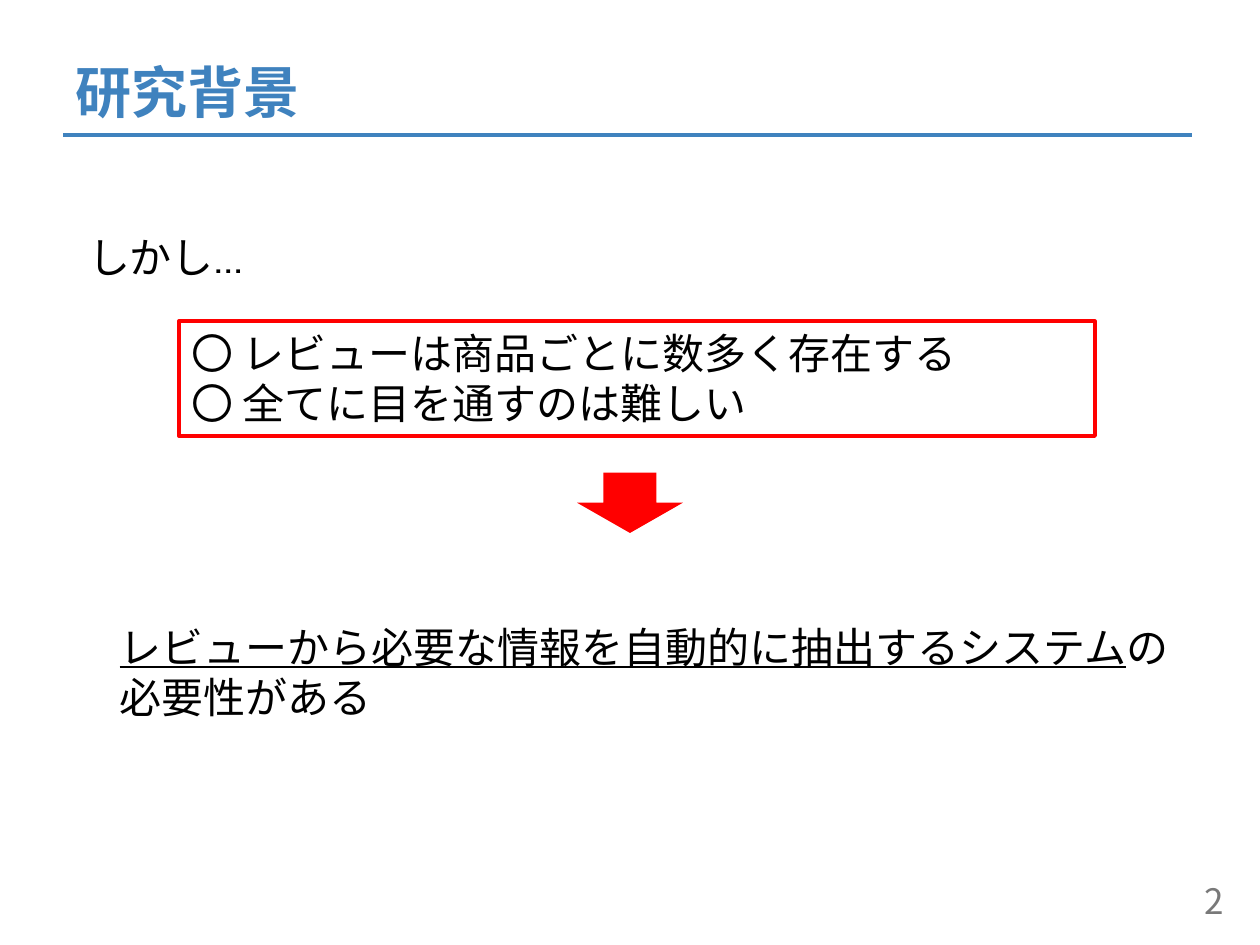
from lxml import etree
from pptx import Presentation
from pptx.dml.color import RGBColor
from pptx.enum.shapes import MSO_CONNECTOR, MSO_SHAPE
from pptx.enum.text import MSO_ANCHOR, PP_ALIGN
from pptx.oxml.ns import qn
from pptx.util import Inches, Pt

TOP, MIDDLE = MSO_ANCHOR.TOP, MSO_ANCHOR.MIDDLE
LEFT, RIGHT = PP_ALIGN.LEFT, PP_ALIGN.RIGHT
BLUE, RED, GRAY, BLACK, WHITE = "3F82BE", "FF0000", "797979", "000000", "FFFFFF"
HEADING_FONT, BODY_FONT = "Noto Sans CJK JP", "Cabin"
SLIDE_WIDTH, SLIDE_HEIGHT = 10, 7.5
RULE_WIDTH = 2.25

# Each paragraph is a list of (text, underlined) runs.
TITLE = [[("研究背景", False)]]
LEAD_IN = [[("しかし…", False)]]
PROBLEMS = [
    [("〇 レビューは商品ごとに数多く存在する", False)],
    [("〇 全てに目を通すのは難しい", False)],
]
CONCLUSION = [[
    ("レビューから必要な情報を自動的に抽出するシステム", True),
    ("の必要性がある", False),
]]
PAGE_NUMBER = [[("2", False)]]


def rgb(color):
    return RGBColor.from_string(color)


def write(shape, paragraphs, size=24, font=BODY_FONT, color=BLACK, bold=False,
          align=LEFT, anchor=TOP, line_spacing=None):
    frame = shape.text_frame
    frame.word_wrap = True
    frame.vertical_anchor = anchor
    for index, runs in enumerate(paragraphs):
        paragraph = frame.add_paragraph() if index else frame.paragraphs[0]
        paragraph.alignment = align
        paragraph.line_spacing = line_spacing
        for text, underlined in runs:
            run = paragraph.add_run()
            run.text = text
            run.font.size = Pt(size)
            run.font.name = font
            run.font.bold = bold
            run.font.underline = underlined
            run.font.color.rgb = rgb(color)
            east_asian = etree.SubElement(run.font._element, qn("a:ea"))
            east_asian.set("typeface", font)


def add_text(slide, box, paragraphs, **text_format):
    write(slide.shapes.add_textbox(*map(Inches, box)), paragraphs, **text_format)


def add_block(slide, kind, box, fill, line=None):
    block = slide.shapes.add_shape(kind, *map(Inches, box))
    block.shadow.inherit = False
    block.fill.solid()
    block.fill.fore_color.rgb = rgb(fill)
    if line:
        block.line.color.rgb = rgb(line)
        block.line.width = Pt(RULE_WIDTH)
    else:
        block.line.fill.background()
    return block


def add_rule(slide, left, right, y, color):
    rule = slide.shapes.add_connector(
        MSO_CONNECTOR.STRAIGHT, Inches(left), Inches(y), Inches(right), Inches(y))
    rule.line.color.rgb = rgb(color)
    rule.line.width = Pt(RULE_WIDTH)
    etree.SubElement(rule._element.spPr, qn("a:effectLst"))


def main():
    deck = Presentation()
    deck.slide_width, deck.slide_height = Inches(SLIDE_WIDTH), Inches(SLIDE_HEIGHT)
    slide = deck.slides.add_slide(deck.slide_layouts[6])

    add_rule(slide, 0.5, 9.46, 1.07, BLUE)
    add_text(slide, (0.5, 0.28, 8.62, 0.96), TITLE, size=32, font=HEADING_FONT,
             color=BLUE, bold=True, anchor=MIDDLE, line_spacing=0.9)
    add_text(slide, (7.56, 6.95, 2.25, 0.4), PAGE_NUMBER, size=20,
             font=HEADING_FONT, color=GRAY, align=RIGHT, anchor=MIDDLE)

    add_text(slide, (0.6, 1.79, 2.81, 0.5), LEAD_IN)
    problem_box = add_block(slide, MSO_SHAPE.RECTANGLE, (1.42, 2.55, 7.27, 0.91),
                            WHITE, line=RED)
    write(problem_box, PROBLEMS)

    arrow_width = 0.84
    arrow_left = (SLIDE_WIDTH - arrow_width) / 2
    add_block(slide, MSO_SHAPE.DOWN_ARROW, (arrow_left, 3.75, arrow_width, 0.48), RED)
    add_text(slide, (0.85, 4.88, 8.79, 0.91), CONCLUSION)

    deck.save("out.pptx")


if __name__ == "__main__":
    main()
